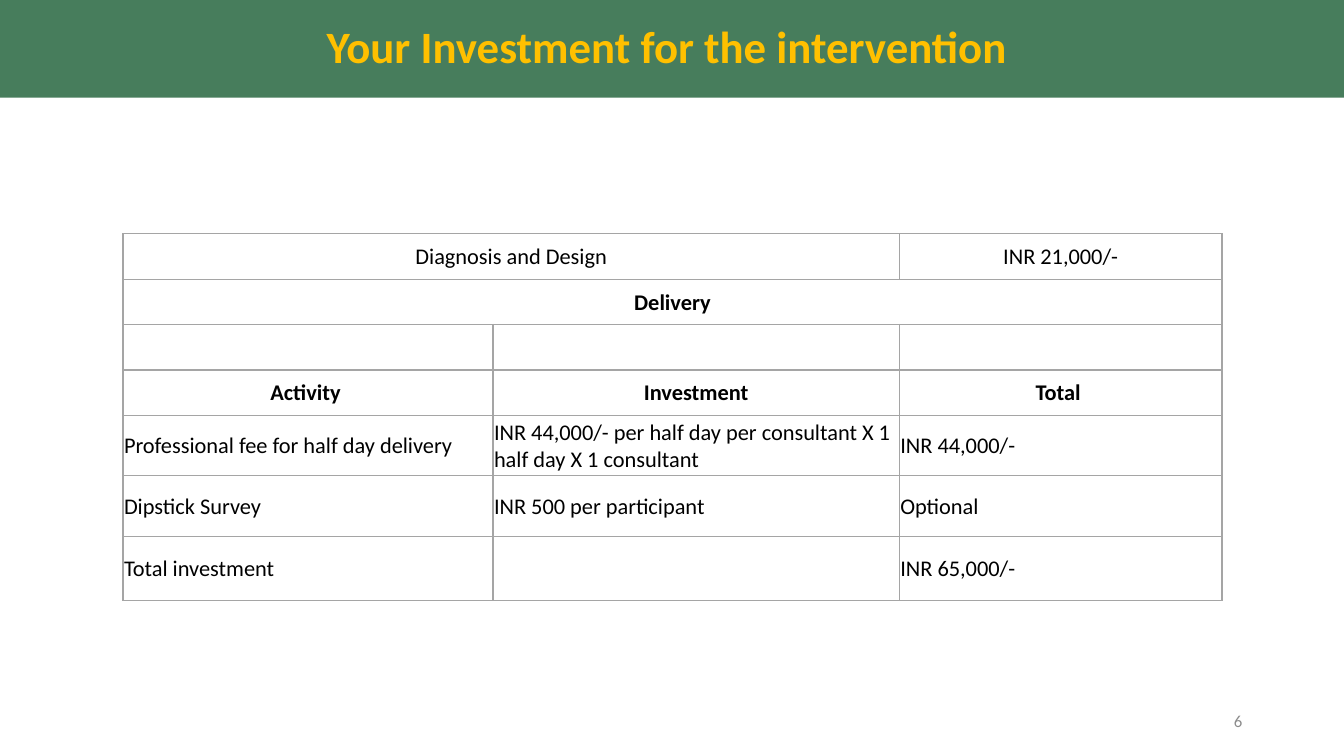
from lxml.etree import SubElement
from pptx import Presentation
from pptx.dml.color import RGBColor
from pptx.enum.shapes import MSO_SHAPE
from pptx.enum.text import MSO_ANCHOR, PP_ALIGN
from pptx.oxml.ns import qn
from pptx.util import Inches, Pt

COLUMN_WIDTHS = [3.67, 4.03, 3.2]
ROW_HEIGHTS = [0.45] * 4 + [0.6, 0.6, 0.64]
INVESTMENT_ROWS = [
    ["Diagnosis and Design", "", "INR 21,000/-"],
    ["Delivery", "", ""],
    ["", "", ""],
    ["Activity ", "Investment", "Total\u00a0"],
    ["Professional fee for half day delivery",
     "INR 44,000/- per half day per consultant X 1 half day X 1 consultant",
     "INR 44,000/-"],
    ["Dipstick Survey", "INR 500 per participant", "Optional"],
    ["Total investment", "", "INR 65,000/-"],
]
MERGED_COLUMNS = {0: 2, 1: 3}
BOLD_ROWS = {1, 3}
CENTRED_ROWS = {0, 1, 3}


def rgb(value):
    """Turn a hex string into a colour."""
    return RGBColor.from_string(value)


def write(frame, text, size, color, align, bold=False):
    """Write one formatted run in the first paragraph of a text frame."""
    paragraph = frame.paragraphs[0]
    paragraph.alignment = align
    run = paragraph.add_run()
    run.text = text
    run.font.name = "Calibri"
    run.font.size = Pt(size)
    run.font.bold = bold
    run.font.color.rgb = rgb(color)
    return paragraph


def outline_cell(cell, color):
    """Draw a one-point border on all four sides of a cell."""
    properties = cell._tc.get_or_add_tcPr()
    for position, side in enumerate(["a:lnL", "a:lnR", "a:lnT", "a:lnB"]):
        border = SubElement(properties, qn(side), w=str(Pt(1)))
        fill = SubElement(border, qn("a:solidFill"))
        SubElement(fill, qn("a:srgbClr"), val=color)
        properties.insert(position, border)


def add_title_band(slide, left, top, width, height):
    """Add the green band with the slide title."""
    band = slide.shapes.add_shape(
        MSO_SHAPE.RECTANGLE, Inches(left), Inches(top), Inches(width), Inches(height))
    band.shadow.inherit = False
    band.fill.solid()
    band.fill.fore_color.rgb = rgb("477D5C")
    band.line.fill.background()
    band.text_frame.word_wrap = True
    band.text_frame.vertical_anchor = MSO_ANCHOR.MIDDLE
    title = write(band.text_frame, "Your Investment for the intervention ",
                  32, "FFC000", PP_ALIGN.CENTER, True)
    title.line_spacing = 0.9


def add_investment_table(slide, left, top):
    """Add the table of fees with its merged heading rows."""
    table = slide.shapes.add_table(
        len(ROW_HEIGHTS), len(COLUMN_WIDTHS), Inches(left), Inches(top),
        Inches(sum(COLUMN_WIDTHS)), Inches(sum(ROW_HEIGHTS))).table
    table.first_row = False
    table.horz_banding = False
    for column, width in zip(table.columns, COLUMN_WIDTHS):
        column.width = Inches(width)
    for row, height in zip(table.rows, ROW_HEIGHTS):
        row.height = Inches(height)
    for row, count in MERGED_COLUMNS.items():
        table.cell(row, 0).merge(table.cell(row, count - 1))
    for row, texts in enumerate(INVESTMENT_ROWS):
        align = PP_ALIGN.CENTER if row in CENTRED_ROWS else PP_ALIGN.LEFT
        for column, text in enumerate(texts):
            cell = table.cell(row, column)
            cell.fill.background()
            cell.vertical_anchor = MSO_ANCHOR.MIDDLE
            cell.margin_left = cell.margin_right = cell.margin_top = Inches(0.01)
            cell.margin_bottom = 0
            outline_cell(cell, "A5A5A5")
            if text:
                write(cell.text_frame, text, 16, "000000", align, row in BOLD_ROWS)


def add_page_number(slide, left, top, width, height):
    """Add the grey page number."""
    number = slide.shapes.add_textbox(
        Inches(left), Inches(top), Inches(width), Inches(height)).text_frame
    number.word_wrap = True
    number.vertical_anchor = MSO_ANCHOR.MIDDLE
    write(number, "6", 12, "8C8C8C", PP_ALIGN.RIGHT)


def main():
    """Build and save the investment slide."""
    deck = Presentation()
    deck.slide_width = Inches(13.33)
    deck.slide_height = Inches(7.5)
    slide = deck.slides.add_slide(deck.slide_layouts[6])
    add_title_band(slide, 0, 0, 13.33, 0.97)
    add_investment_table(slide, 1.22, 2.32)
    add_page_number(slide, 9.42, 6.95, 3, 0.4)
    deck.save("out.pptx")


if __name__ == "__main__":
    main()
